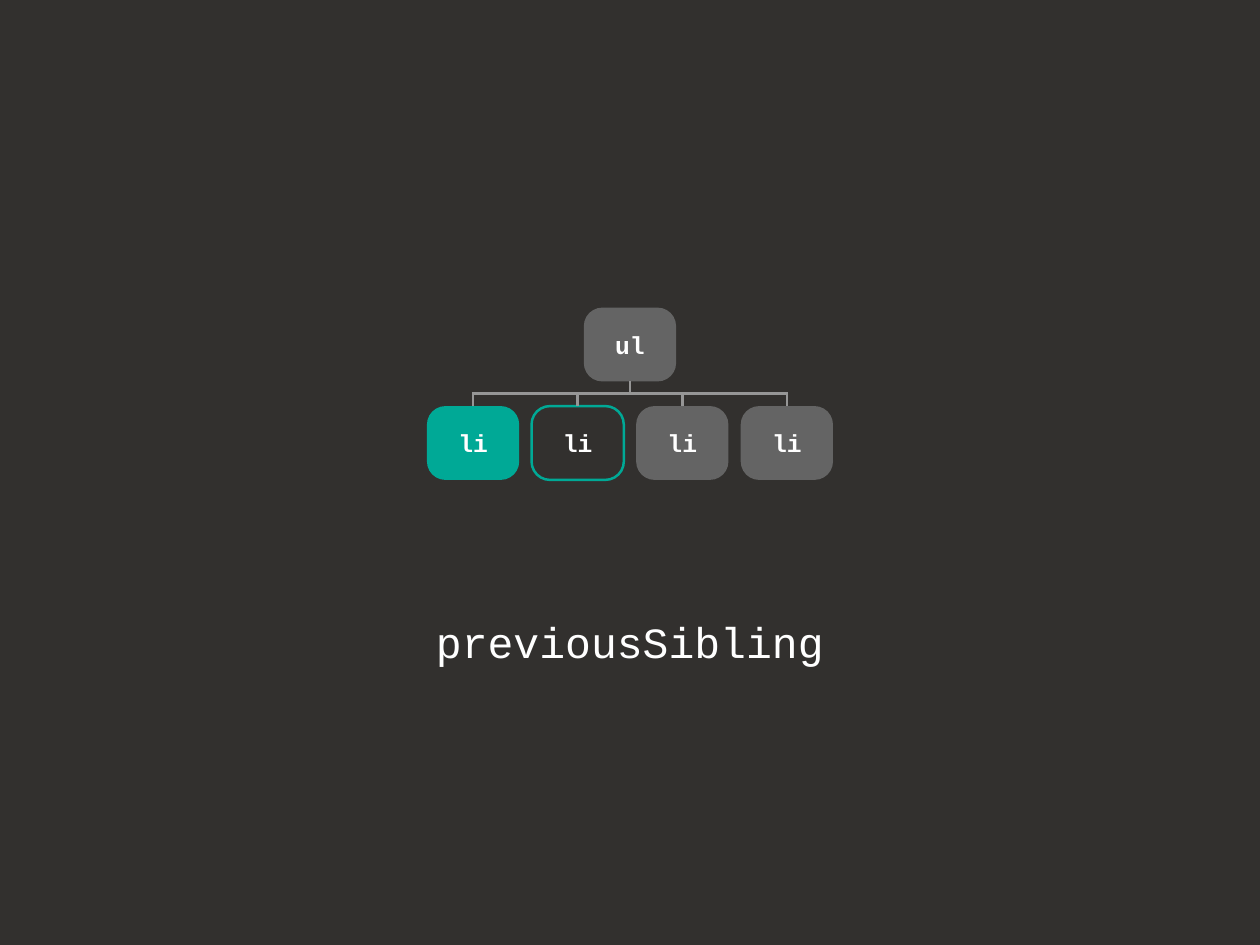
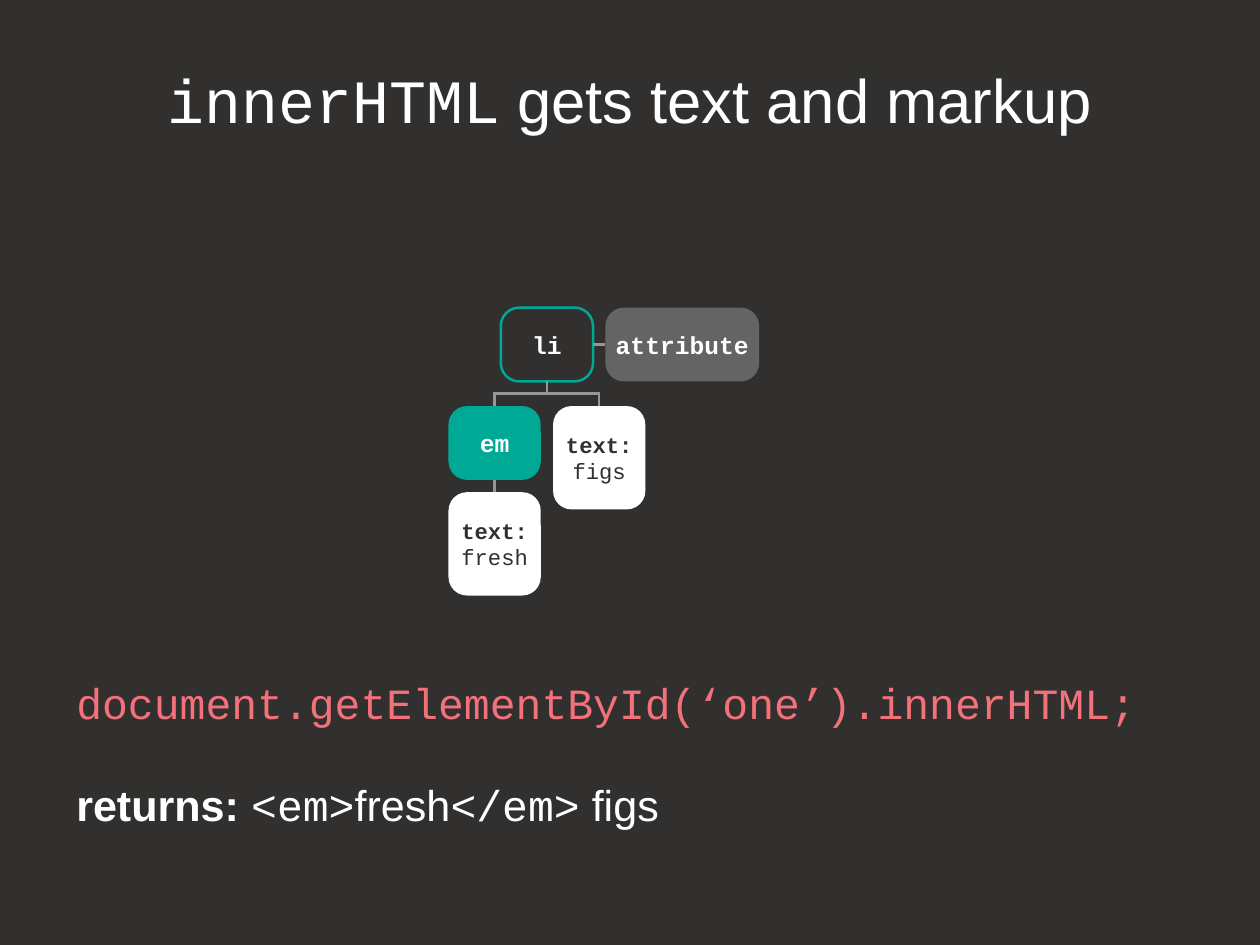
from lxml import etree
from pptx import Presentation, util as u
from pptx.dml.color import RGBColor
from pptx.enum import shapes as es, text as et
from pptx.oxml.ns import qn

WIDE, HIGH = 1024, 768
NODE_W, NODE_H, LEAF_H, GAP = 75, 60, 84, 10
RADIUS = 15
TOP = 250
DARK, WHITE, GREY = "32302E", "FFFFFF", "646464"
TEAL, RULE, CORAL = "00A996", "969696", "F2717A"
MONO, SANS = "Courier New", "Arial"
CENTER, LEFT = et.PP_ALIGN.CENTER, et.PP_ALIGN.LEFT
UPPER, MIDDLE = et.MSO_ANCHOR.TOP, et.MSO_ANCHOR.MIDDLE


def px(n):
    return u.Emu(int(n * 12700))


def tint(code):
    return RGBColor.from_string(code)


def write(shape, rows, size=35, font=MONO, color=WHITE, bold=False,
          align=CENTER, anchor=UPPER, space=0):
    """Each row is a list of (words, format changes)."""
    frame = shape.text_frame
    frame.word_wrap = True
    frame.auto_size = et.MSO_AUTO_SIZE.NONE
    frame.vertical_anchor = anchor
    frame.margin_left = frame.margin_right = 0
    frame.margin_top = frame.margin_bottom = 0
    for i, row in enumerate(rows):
        para = frame.add_paragraph() if i else frame.paragraphs[0]
        para.alignment = align
        para.space_before = u.Pt(space if i else 0)
        for words, change in row:
            run = para.add_run()
            run.text = words
            run.font.size = u.Pt(size)
            run.font.name = change.get("font", font)
            run.font.bold = change.get("bold", bold)
            run.font.color.rgb = tint(change.get("color", color))


def title(slide, box, row, **style):
    head = slide.shapes.title
    head.left, head.top, head.width, head.height = map(px, box)
    write(head, [row], **style)


def node(slide, x, y, rows, w=NODE_W, h=NODE_H, fill=GREY, edge=None, **style):
    box = slide.shapes.add_shape(
        es.MSO_SHAPE.ROUNDED_RECTANGLE, px(x), px(y), px(w), px(h))
    box.adjustments[0] = round(RADIUS / min(w, h), 2)
    box.shadow.inherit = False
    if fill:
        box.fill.solid()
        box.fill.fore_color.rgb = tint(fill)
    else:
        box.fill.background()
    if edge:
        box.line.color.rgb = tint(edge)
        box.line.width = u.Pt(2)
    else:
        box.line.fill.background()
    look = dict(size=20, bold=True, anchor=MIDDLE)
    write(box, rows, **{**look, **style})
    return box


def tag(slide, x, y, name, **style):
    return node(slide, x, y, [[(name, {})]], **style)


def leaf(slide, x, y, words):
    rows = [[("text:", {})], [(words, {"bold": False})]]
    return node(slide, x, y, rows, h=LEAF_H, fill=WHITE, color=DARK, size=18)


def link(slide, start, end, tail=None, head=None):
    """Draw a line; tail and head are (shape, site) pairs to join."""
    line = slide.shapes.add_connector(
        es.MSO_CONNECTOR.STRAIGHT, *map(px, (*start, *end)))
    line.line.color.rgb = tint(RULE)
    line.line.width = u.Pt(2)
    etree.SubElement(line._element.spPr, qn("a:effectLst"))
    if tail:
        line.begin_connect(*tail)
    if head:
        line.end_connect(*head)


def join(slide, a, side, b, facing):
    link(slide, (0, 0), (0, 0), (a, side), (b, facing))


def mid(box):
    return (box.left + box.width / 2) / 12700


def branch(slide, root, kids):
    """Join a parent to its row of children by a shared rail."""
    rail = (root.top + root.height) / 12700 + GAP
    link(slide, (0, 0), (mid(root), rail), tail=(root, 2))
    for kid in kids:
        link(slide, (mid(kid), rail), (0, 0), head=(kid, 0))
    link(slide, (mid(kids[0]) - 1, rail), (mid(kids[-1]) + 1, rail))


def columns(center, count):
    pitch = NODE_W + GAP
    first = center - (count * pitch - GAP) / 2
    return [first + i * pitch for i in range(count)]


def siblings(slide, center, top):
    root = tag(slide, center - NODE_W / 2, top, "ul")
    looks = [dict(fill=TEAL), dict(fill=None, edge=TEAL), {}, {}]
    row = top + NODE_H + 2 * GAP
    kids = [tag(slide, x, row, "li", **look)
            for x, look in zip(columns(center, len(looks)), looks)]
    branch(slide, root, kids)


def markup(slide, center, top):
    side = 125
    left = center - (NODE_W + GAP + side) / 2
    # Element and its attribute
    root = tag(slide, left, top, "li", fill=None, edge=TEAL)
    attr = tag(slide, left + NODE_W + GAP, top, "attribute", w=side)
    join(slide, root, 3, attr, 1)
    # Children and the nested text
    row = top + NODE_H + 2 * GAP
    first, second = columns(mid(root), 2)
    em = tag(slide, first, row, "em", fill=TEAL)
    figs = leaf(slide, second, row, "figs")
    fresh = leaf(slide, first, row + NODE_H + GAP, "fresh")
    branch(slide, root, [em, figs])
    join(slide, em, 2, fresh, 0)


def sample(slide, x, y, w, h):
    box = slide.shapes.add_textbox(*map(px, (x, y, w, h)))
    sans = {"font": SANS}
    call = [("document.getElementById(‘one’).innerHTML;", {"color": CORAL})]
    result = [("returns: ", {"font": SANS, "bold": True}), ("<em>", {}),
              ("fresh", sans), ("</em>", {}), (" figs", sans)]
    write(box, [call, result], align=LEFT, space=41)


def main():
    prs = Presentation()
    prs.slide_width, prs.slide_height = px(WIDE), px(HIGH)
    back = prs.slide_master.background.fill
    back.solid()
    back.fore_color.rgb = tint(DARK)
    plain = prs.slide_layouts.get_by_name("Title Only")

    # Sibling tree with its caption
    slide = prs.slides.add_slide(plain)
    title(slide, (62, 500, 900, 50), [("previousSibling", {})])
    siblings(slide, WIDE / 2, TOP)

    # Element tree with a heading and code
    slide = prs.slides.add_slide(plain)
    title(slide, (0, 50, WIDE, 60),
          [("innerHTML", {}), (" gets text and markup", {"font": SANS})],
          size=50, anchor=MIDDLE)
    markup(slide, WIDE / 2, TOP)
    sample(slide, 62, 550, 904, 150)

    prs.save("out.pptx")


if __name__ == "__main__":
    main()
